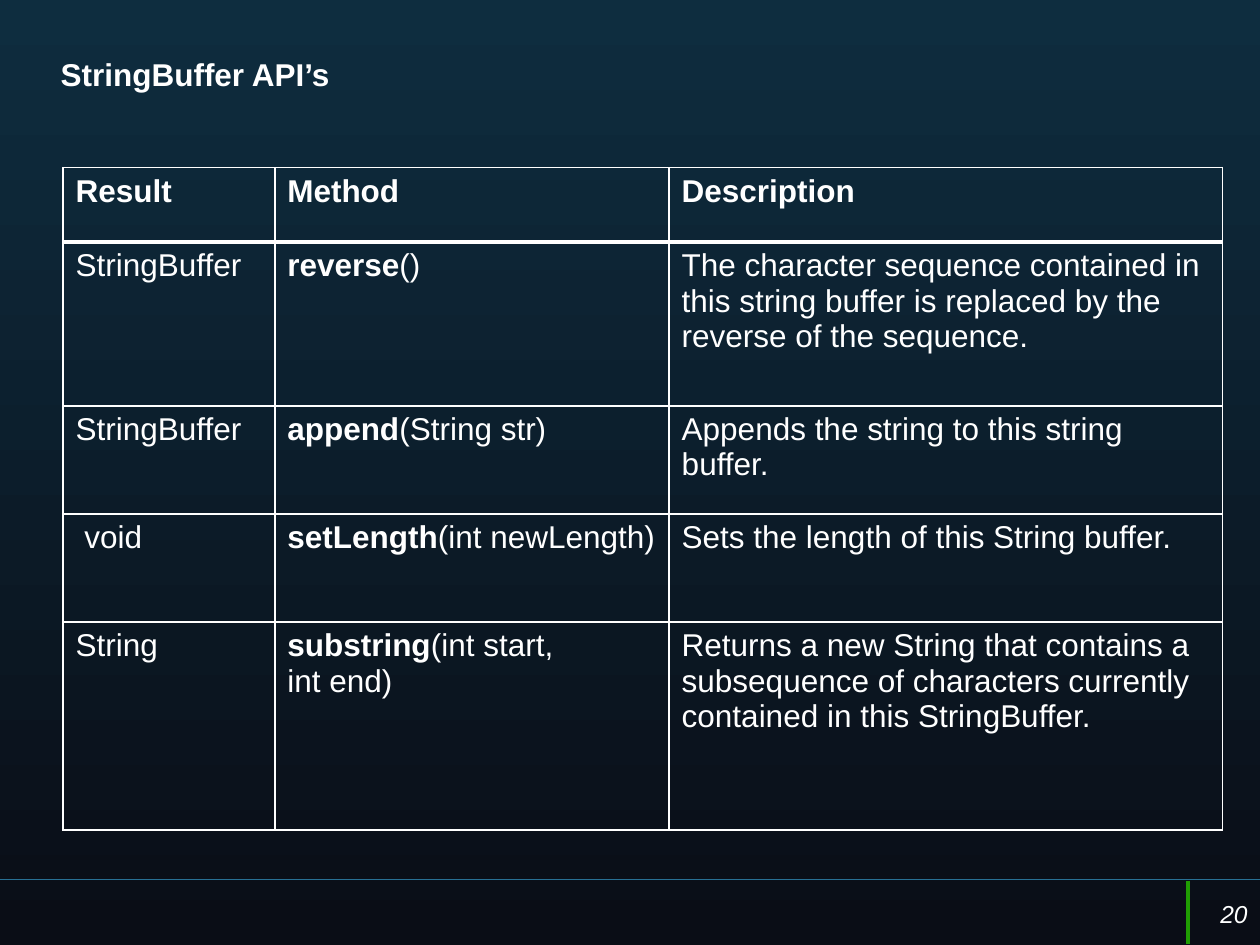
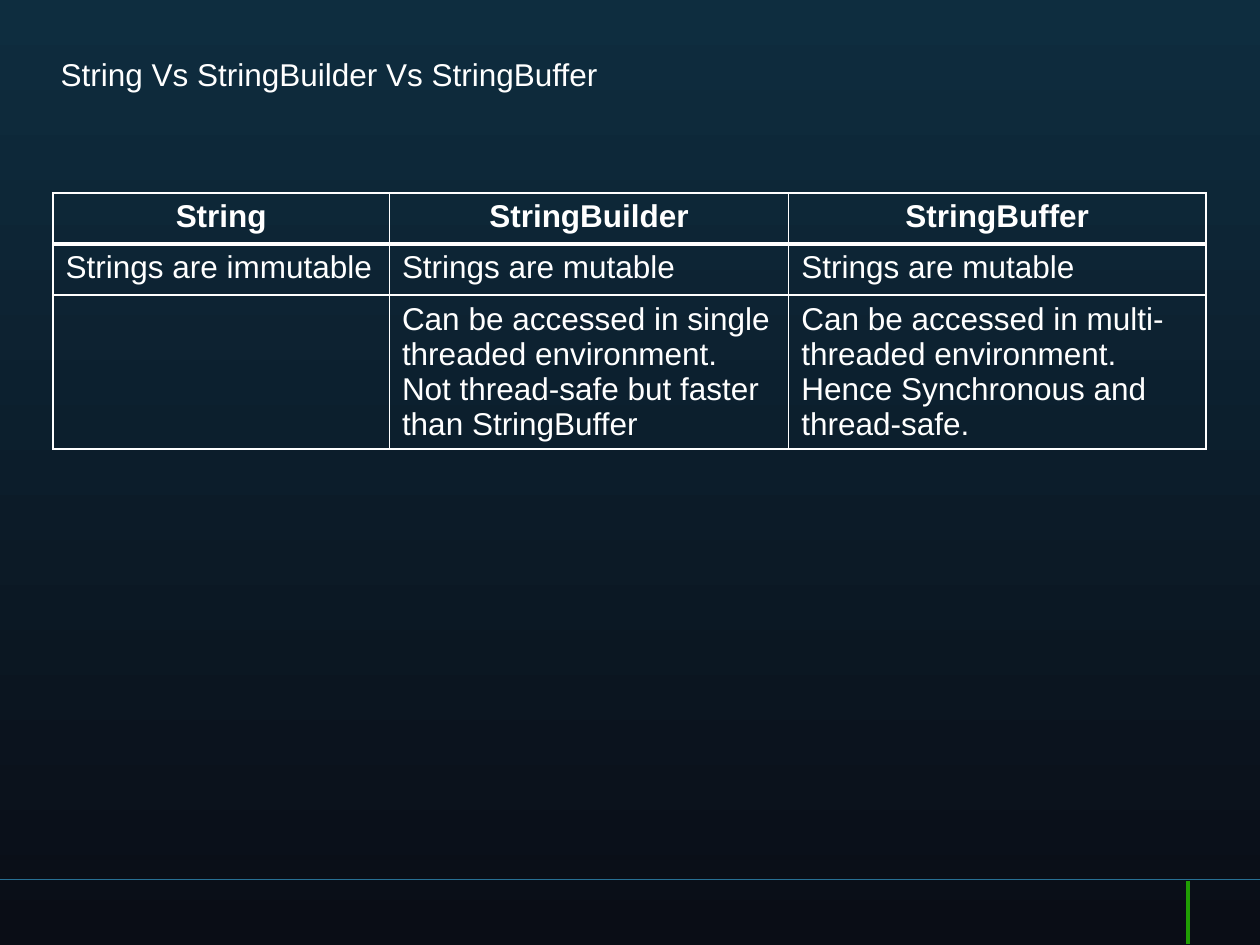
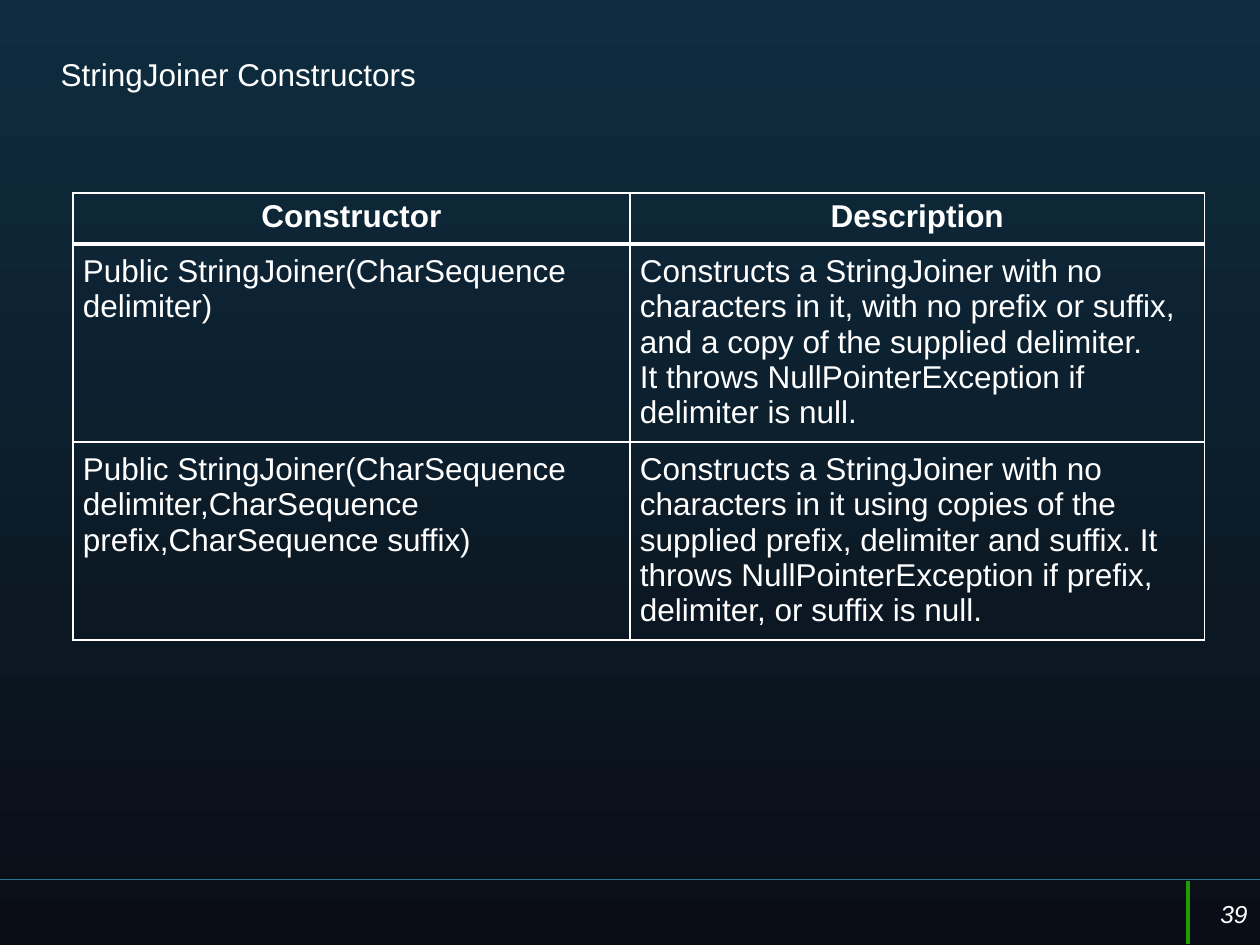
"""Build three slides about Java string classes, each with one table."""
from lxml import etree
from pptx import Presentation
from pptx.dml.color import RGBColor
from pptx.enum import shapes, text
from pptx.oxml.ns import qn
from pptx.util import Cm, Pt

NAVY, INK, WHITE, TEAL, GREEN = "0E2D3F", "0A0D16", "FFFFFF", "287094", "209D03"
TITLE_BOX = (0.97, 0.99, 23.32, 1.68)
NUMBER_BOX = (23.95, 17.81, 1.45, 1.22)
RULES = [
    ((25.4, 17.73, 0, 17.73), TEAL, 0.75),
    ((23.95, 17.75, 23.95, 19.02), GREEN, 2),
]
LEFT, CENTER, RIGHT = (text.PP_ALIGN.LEFT, text.PP_ALIGN.CENTER, text.PP_ALIGN.RIGHT)

SLIDES = [
    {
        "title": "StringBuffer API’s", "bold": True, "number": "20",
        "at": (1.27, 3.38), "cols": (4.27, 7.95, 11.15),
        "rows": (1.5, 3.3, 2.18, 2.18, 4.19), "head": LEFT,
        "cells": [
            ("Result", "Method", "Description"),
            ("StringBuffer", ("reverse", "()"),
             "The character sequence contained in this string buffer is replaced "
             "by the reverse of the sequence."),
            ("StringBuffer", ("append", "(String\u00a0str)"),
             "Appends the string to this string buffer."),
            ("\u00a0void", ("setLength", "(int newLength)"),
             "Sets the length of this String buffer."),
            ("String", ("substring", "(int\u00a0start, int\u00a0end)"),
             "Returns a new String that contains a subsequence of characters "
             "currently contained in this StringBuffer."),
        ],
    },
    {
        "title": "String Vs StringBuilder Vs StringBuffer",
        "at": (1.07, 3.89), "cols": (6.78, 8.05, 8.41),
        "rows": (1.03, 1.03, 3.1), "head": CENTER,
        "cells": [
            ("String", "StringBuilder", "StringBuffer"),
            ("Strings are immutable", "Strings are mutable", "Strings are mutable"),
            ("",
             "Can be accessed in single threaded environment.\n"
             "Not thread-safe but faster than StringBuffer",
             "Can be accessed in multi-threaded environment.\n"
             "Hence Synchronous and thread-safe."),
        ],
    },
    {
        "title": "StringJoiner Constructors", "number": "39",
        "at": (1.47, 3.89), "cols": (11.23, 11.58),
        "rows": (1.03, 3.99, 3.99), "head": CENTER, "inset": 0.2,
        "cells": [
            ("Constructor", "Description"),
            ("Public StringJoiner(CharSequence delimiter)",
             "Constructs a StringJoiner with no characters in it, with no prefix or "
             "suffix, and a copy of the supplied delimiter.\n"
             "It throws NullPointerException if delimiter is null."),
            ("Public StringJoiner(CharSequence delimiter,CharSequence "
             "prefix,CharSequence suffix)",
             "Constructs a StringJoiner with no characters in it using copies of the "
             "supplied prefix, delimiter and suffix. It throws NullPointerException "
             "if prefix, delimiter, or suffix is null."),
        ],
    },
]


def rgb(value):
    return RGBColor.from_string(value)


def cm(values):
    return [Cm(v) for v in values]


def assign(obj, **values):
    for name, value in values.items():
        setattr(obj, name, value)


def place(sp, box):
    assign(sp, **dict(zip(("left", "top", "width", "height"), cm(box))))


def add_run(p, words, size=18, bold=False, italic=False):
    r = p.add_run()
    r.text = words
    assign(r.font, name="Arial", size=Pt(size), bold=bold, italic=italic)
    r.font.color.rgb = rgb(WHITE)


def style_master(prs):
    fill = prs.slide_master.background.fill
    fill.gradient()
    fill.gradient_angle = 270
    for stop, color, position in zip(fill.gradient_stops, (NAVY, INK), (0, 1)):
        stop.color.rgb = rgb(color)
        stop.position = position


def add_rules(slide, layout):
    for ends, color, width in RULES:
        line = slide.shapes.add_connector(shapes.MSO_CONNECTOR.STRAIGHT, *cm(ends))
        line.line.color.rgb = rgb(color)
        line.line.width = Pt(width)
        etree.SubElement(line.element.spPr, qn("a:effectLst"))
        layout.element.cSld.spTree.append(line.element)


def add_title(slide, words, bold):
    tf = slide.shapes.title.text_frame
    assign(tf, vertical_anchor=text.MSO_ANCHOR.TOP, word_wrap=True,
           auto_size=text.MSO_AUTO_SIZE.NONE)
    p = tf.paragraphs[0]
    p.alignment = LEFT
    add_run(p, words, bold=bold)


def add_number(slide, number):
    tf = slide.shapes.add_textbox(*cm(NUMBER_BOX)).text_frame
    assign(tf, vertical_anchor=text.MSO_ANCHOR.MIDDLE, word_wrap=True)
    p = tf.paragraphs[0]
    p.alignment = RIGHT
    add_run(p, number, size=14, italic=True)


def set_borders(cell, **widths):
    tc_pr = cell._tc.get_or_add_tcPr()
    for side in "LRTB":
        ln = etree.SubElement(tc_pr, qn("a:ln" + side), w=str(Pt(widths.get(side, 1))))
        fill = etree.SubElement(ln, qn("a:solidFill"))
        etree.SubElement(fill, qn("a:srgbClr"), val=WHITE)


def fill_cell(cell, content, header, align):
    tf = cell.text_frame
    if isinstance(content, tuple):
        for words, bold in zip(content, (True, False)):
            add_run(tf.paragraphs[0], words, bold=bold)
    elif content:
        for i, words in enumerate(content.split("\n")):
            p = tf.add_paragraph() if i else tf.paragraphs[0]
            p.alignment = align
            add_run(p, words, bold=header)


def add_table(slide, data):
    cols, rows = cm(data["cols"]), cm(data["rows"])
    table = slide.shapes.add_table(len(rows), len(cols), *cm(data["at"]),
                                   sum(cols), sum(rows)).table
    assign(table, first_row=False, horz_banding=False)
    for column, width in zip(table.columns, cols):
        column.width = width
    for i, (row, height) in enumerate(zip(table.rows, rows)):
        row.height = height
        for cell, content in zip(row.cells, data["cells"][i]):
            if i and "inset" in data:
                for side in ("left", "right", "top", "bottom"):
                    setattr(cell, "margin_" + side, Cm(data["inset"]))
            set_borders(cell, **{0: {"B": 3}, 1: {"T": 3}}.get(i, {}))
            cell.fill.background()
            fill_cell(cell, content, i == 0, LEFT if i else data["head"])


def main():
    prs = Presentation()
    assign(prs, slide_width=Cm(25.4), slide_height=Cm(19.05))
    style_master(prs)
    layout = prs.slide_layouts.get_by_name("Title Only")
    place(layout.placeholders[0], TITLE_BOX)
    for i, data in enumerate(SLIDES):
        slide = prs.slides.add_slide(layout)
        if i == 0:
            add_rules(slide, layout)
        place(slide.shapes.title, TITLE_BOX)
        add_title(slide, data["title"], data.get("bold", False))
        add_table(slide, data)
        if "number" in data:
            add_number(slide, data["number"])
    prs.save("out.pptx")


main()
